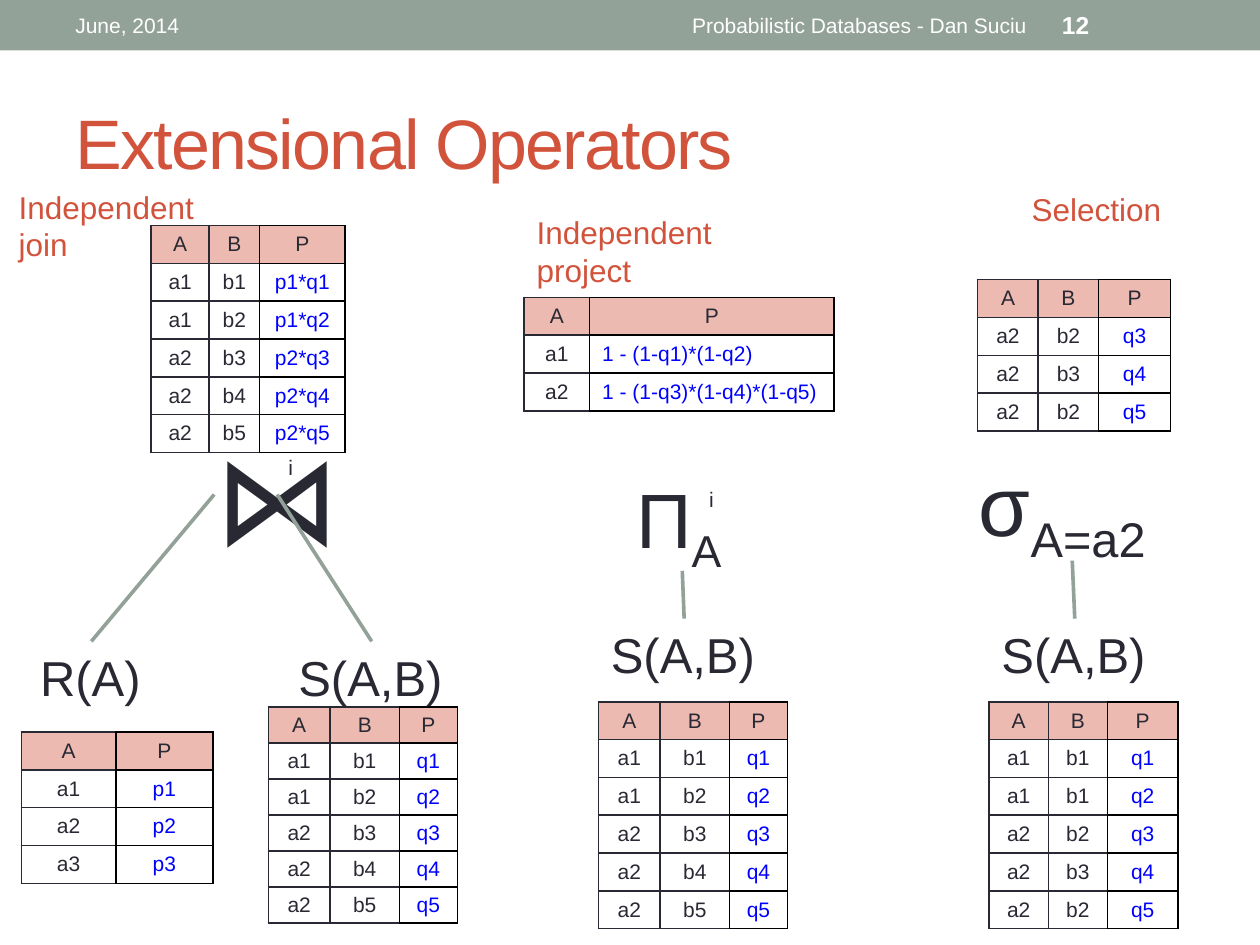
from dataclasses import dataclass

from lxml.etree import SubElement
from pptx import Presentation
from pptx.dml.color import RGBColor
from pptx.enum.shapes import MSO_CONNECTOR, MSO_SHAPE
from pptx.enum.text import MSO_ANCHOR, MSO_AUTO_SIZE, PP_ALIGN
from pptx.oxml.ns import qn
from pptx.shapes.autoshape import Shape
from pptx.slide import Slide
from pptx.table import _Cell
from pptx.text.text import _Run
from pptx.util import Emu, Inches, Pt

WIDTH, HEIGHT = Inches(10), Inches(7.5)
FONT = "Arial"
INK, BLACK, WHITE = "292934", "000000", "FFFFFF"
ACCENT, SAGE, ROSE, BLUE = "D2533C", "93A299", "EDBAB1", "0000FF"
TOP, LEFT, BOTTOM, RIGHT = range(4)


@dataclass
class Relation:
    """A table placed in percent of the slide, its last column being P."""
    left: float
    top: float
    columns: list[float]
    rows: list[str]
    row_height: float = 4
    last_align: PP_ALIGN = PP_ALIGN.CENTER


@dataclass
class Label:
    """A text placed in percent of the slide, with an optional subscript."""
    text: str
    box: tuple[float, float, float, float]
    size: float
    color: str = INK
    subscript: str = ""
    anchor: MSO_ANCHOR = MSO_ANCHOR.TOP
    align: PP_ALIGN = PP_ALIGN.LEFT
    bold: bool = False
    fits: bool = True
    inset: float | None = None


S_ROWS = ["A|B|P", "a1|b1|q1", "a1|b2|q2", "a2|b3|q3", "a2|b4|q4", "a2|b5|q5"]
S_COLUMNS = [4.9, 5.5, 4.6]

RELATIONS = [
    Relation(21.3, 74.8, S_COLUMNS, S_ROWS, row_height=3.82),
    Relation(1.7, 77.47, [7.5, 7.7], ["A|P", "a1|p1", "a2|p2", "a3|p3"]),
    Relation(12, 23.87, [4.6, 4, 6.8],
             ["A|B|P", "a1|b1|p1*q1", "a1|b2|p1*q2", "a2|b3|p2*q3",
              "a2|b4|p2*q4", "a2|b5|p2*q5"]),
    Relation(41.6, 31.47, [5.2, 19.4],
             ["A|P", "a1|1 - (1-q1)*(1-q2)", "a2|1 - (1-q3)*(1-q4)*(1-q5)"],
             last_align=PP_ALIGN.LEFT),
    Relation(47.5, 74.27, S_COLUMNS, S_ROWS),
    Relation(78.5, 74.27, [4.7, 4.7, 5.6],
             ["A|B|P", "a1|b1|q1", "a1|b1|q2", "a2|b2|q3", "a2|b3|q4", "a2|b2|q5"]),
    Relation(77.6, 29.6, [4.8, 4.8, 5.7],
             ["A|B|P", "a2|b2|q3", "a2|b3|q4", "a2|b2|q5"]),
]

NODES = {
    "join": Label("⋈", (17, 44.27, 5, 16.13), 72, anchor=MSO_ANCHOR.MIDDLE, inset=0),
    "join R": Label("R(A)", (2.2, 67.87, 10.1, 7.6), 28),
    "join S": Label("S(A,B)", (22.7, 67.87, 13.6, 7.6), 28),
    "project": Label("Π", (49.5, 49.2, 9.3, 11.2), 44, subscript="A"),
    "project S": Label("S(A,B)", (47.5, 65.47, 13.6, 7.6), 28),
    "select": Label("σ", (76.7, 47.2, 16.8, 12.13), 48, subscript="A=a2"),
    "select S": Label("S(A,B)", (78.5, 65.47, 13.6, 7.6), 28),
}

EDGES = [
    ("join R", TOP, "join", LEFT),
    ("join", RIGHT, "join S", TOP),
    ("project", BOTTOM, "project S", TOP),
    ("select S", TOP, "select", BOTTOM),
]

CAPTIONS = [
    Label("Independent\njoin", (0.5, 19.2, 16.1, 9.47), 18, ACCENT),
    Label("Independent\nproject", (41.6, 21.87, 16.1, 9.47), 18, ACCENT),
    Label("Selection", (80.9, 19.47, 12.4, 5.33), 18, ACCENT),
    Label("i", (21.9, 47.47, 2.4, 4), 12),
    Label("i", (55.3, 50.8, 2.4, 4), 12),
    Label("June, 2014", (5, 0.27, 31.7, 4.8), 12, WHITE,
          anchor=MSO_ANCHOR.MIDDLE, fits=False),
    Label("Probabilistic Databases - Dan Suciu", (37.5, 0.27, 45, 4.8), 12, WHITE,
          anchor=MSO_ANCHOR.MIDDLE, align=PP_ALIGN.RIGHT, fits=False),
    Label("12", (83.3, 0.27, 11.7, 4.8), 14, WHITE,
          anchor=MSO_ANCHOR.MIDDLE, bold=True, fits=False),
]


def across(percent: float) -> Emu:
    """Turn a share of the slide's width into a length."""
    return Emu(round(WIDTH * percent / 100))


def down(percent: float) -> Emu:
    """Turn a share of the slide's height into a length."""
    return Emu(round(HEIGHT * percent / 100))


def place(left: float, top: float, width: float, height: float) -> tuple[Emu, ...]:
    """Turn four shares of the slide into a frame."""
    return across(left), down(top), across(width), down(height)


def rgb(color: str) -> RGBColor:
    """Read a hex colour."""
    return RGBColor.from_string(color)


def style(run: _Run, size: float, color: str, bold: bool = False) -> None:
    """Format one run."""
    run.font.name, run.font.size, run.font.bold = FONT, Pt(size), bold
    run.font.color.rgb = rgb(color)


def draw_label(slide: Slide, label: Label) -> Shape:
    """Write a label in a text box."""
    box = slide.shapes.add_textbox(*place(*label.box))
    frame = box.text_frame
    frame.word_wrap = not label.fits
    frame.auto_size = MSO_AUTO_SIZE.SHAPE_TO_FIT_TEXT if label.fits else MSO_AUTO_SIZE.NONE
    frame.vertical_anchor = label.anchor
    if label.inset is not None:
        frame.margin_left = frame.margin_right = Inches(label.inset)
        frame.margin_top = frame.margin_bottom = Inches(label.inset)
    paragraph = frame.paragraphs[0]
    paragraph.text = label.text
    paragraph.alignment = label.align
    if label.subscript:
        lowered = paragraph.add_run()
        lowered.text = label.subscript
        lowered._r.get_or_add_rPr().set("baseline", "-25000")
    for run in paragraph.runs:
        style(run, label.size, label.color, label.bold)
    return box


def draw_borders(cell: _Cell, color: str, right_color: str) -> None:
    """Rule the four sides of a cell."""
    properties = cell._tc.get_or_add_tcPr()
    for index, side in enumerate(("lnL", "lnR", "lnT", "lnB")):
        line = properties.makeelement(qn(f"a:{side}"), {"w": str(Pt(1))})
        properties.insert(index, line)
        fill = SubElement(line, qn("a:solidFill"))
        SubElement(fill, qn("a:srgbClr"), val=right_color if side == "lnR" else color)


def draw_relation(slide: Slide, relation: Relation) -> None:
    """Draw a relation with its probability column in blue."""
    count, last = len(relation.rows), len(relation.columns) - 1
    table = slide.shapes.add_table(count, last + 1, *place(
        relation.left, relation.top, sum(relation.columns), count * relation.row_height)).table
    table.first_row = table.horz_banding = False
    for column, width in zip(table.columns, relation.columns):
        column.width = across(width)
    for r, row in enumerate(relation.rows):
        table.rows[r].height = down(relation.row_height)
        for c, value in enumerate(row.split("|")):
            cell = table.cell(r, c)
            cell.margin_top = cell.margin_bottom = Inches(0.04)
            cell.vertical_anchor = MSO_ANCHOR.MIDDLE
            if r and c < last:
                cell.fill.background()
            else:
                cell.fill.solid()
                cell.fill.fore_color.rgb = rgb(WHITE if r else ROSE)
            draw_borders(cell, BLACK if c == last else INK, BLACK if c >= last - 1 else INK)
            paragraph = cell.text_frame.paragraphs[0]
            paragraph.text = value
            paragraph.alignment = relation.last_align if r and c == last else PP_ALIGN.CENTER
            style(paragraph.runs[0], 12, BLUE if r and c == last else INK)


def draw_edge(slide: Slide, start: Shape, start_side: int, end: Shape, end_side: int) -> None:
    """Join two nodes of an operator tree."""
    edge = slide.shapes.add_connector(MSO_CONNECTOR.STRAIGHT, 0, 0, 0, 0)
    edge.begin_connect(start, start_side)
    edge.end_connect(end, end_side)
    edge.line.color.rgb = rgb(SAGE)
    edge.line.width = Pt(2.08)
    SubElement(edge._element.spPr, qn("a:effectLst"))


def draw_heading(slide: Slide) -> None:
    """Draw the top band and the title."""
    band = slide.shapes.add_shape(MSO_SHAPE.RECTANGLE, *place(0, 0, 100, 5.33))
    band.shadow.inherit = False
    band.fill.solid()
    band.fill.fore_color.rgb = rgb(SAGE)
    band.line.fill.background()
    title = slide.shapes.title
    title.left, title.top, title.width, title.height = place(5, 7.73, 90, 14.4)
    title.text_frame.text = "Extensional Operators"
    title.text_frame.vertical_anchor = MSO_ANCHOR.MIDDLE
    paragraph = title.text_frame.paragraphs[0]
    paragraph.alignment = PP_ALIGN.LEFT
    style(paragraph.runs[0], 40, ACCENT)
    paragraph.runs[0]._r.get_or_add_rPr().set("spc", "-100")


def main() -> None:
    """Build the slide and save it."""
    deck = Presentation()
    deck.slide_width, deck.slide_height = WIDTH, HEIGHT
    slide = deck.slides.add_slide(deck.slide_layouts[5])
    draw_heading(slide)
    for relation in RELATIONS:
        draw_relation(slide, relation)
    nodes = {name: draw_label(slide, label) for name, label in NODES.items()}
    for start, start_side, end, end_side in EDGES:
        draw_edge(slide, nodes[start], start_side, nodes[end], end_side)
    for caption in CAPTIONS:
        draw_label(slide, caption)
    deck.save("out.pptx")


if __name__ == "__main__":
    main()
